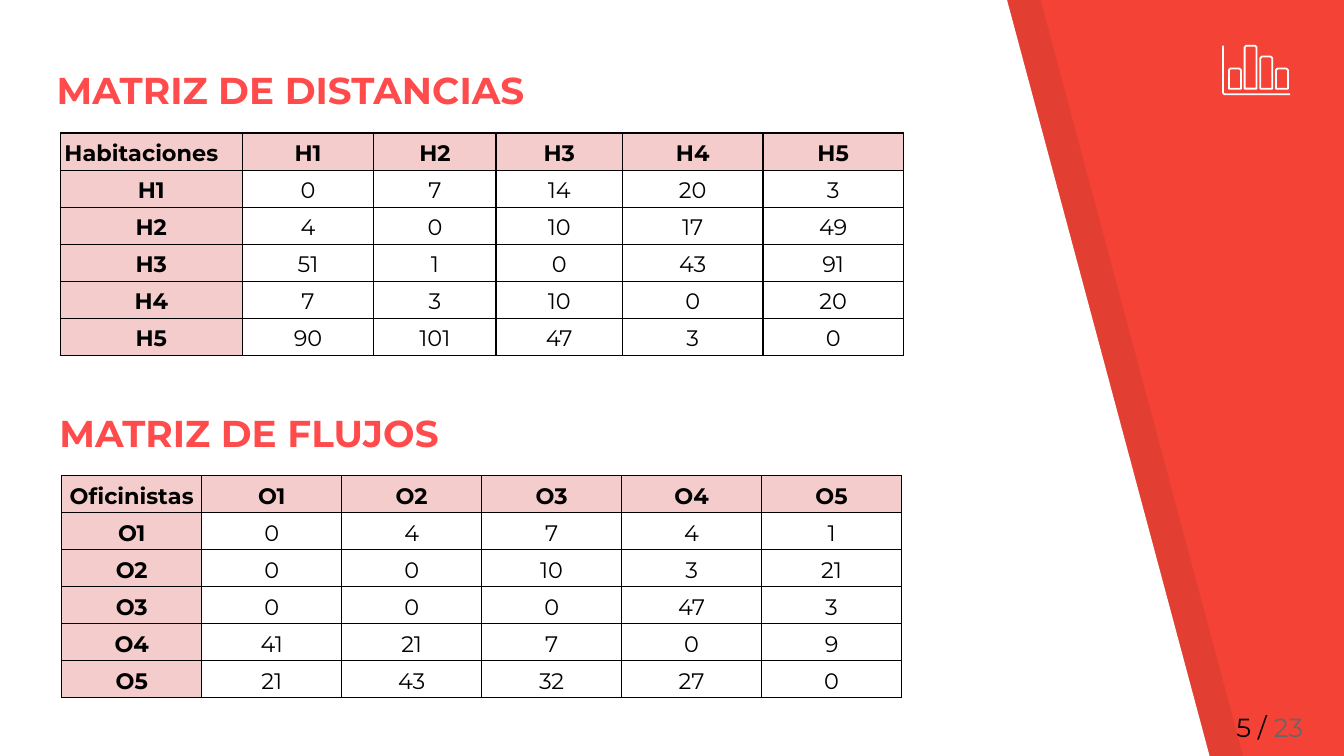
from lxml import etree
from pptx import Presentation, util as u
from pptx.dml.color import RGBColor
from pptx.enum import text
from pptx.oxml.ns import qn

RED = RGBColor(0xF4, 0x43, 0x36)
CORAL = RGBColor(0xFF, 0x4B, 0x4B)
PINK = RGBColor(0xF4, 0xCC, 0xCC)
WHITE = RGBColor(0xFF, 0xFF, 0xFF)
BLACK = RGBColor(0, 0, 0)
GREY = RGBColor(0x66, 0x66, 0x66)

DISTANCES = [
    ["Habitaciones", "H1", "H2", "H3", "H4", "H5"],
    ["H1", 0, 7, 14, 20, 3],
    ["H2", 4, 0, 10, 17, 49],
    ["H3", 51, 1, 0, 43, 91],
    ["H4", 7, 3, 10, 0, 20],
    ["H5", 90, 101, 47, 3, 0],
]
FLOWS = [
    ["Oficinistas", "O1", "O2", "O3", "O4", "O5"],
    ["O1", 0, 4, 7, 4, 1],
    ["O2", 0, 0, 10, 3, 21],
    ["O3", 0, 0, 0, 47, 3],
    ["O4", 41, 21, 7, 0, 9],
    ["O5", 21, 43, 32, 27, 0],
]


def assign(target, values):
    for name, value in values.items():
        setattr(target, name, value)


class MatrixSlide:
    font_name = "Montserrat"
    row_height = 19.85
    border = 0.75
    frame_format = dict.fromkeys(
        ("margin_left", "margin_top", "margin_right", "margin_bottom"), u.Pt(7.2))
    cell_format = {
        "margin_left": u.Pt(2.25), "margin_right": u.Pt(2.25),
        "margin_top": u.Pt(1.5), "margin_bottom": u.Pt(1.5),
        "vertical_anchor": text.MSO_ANCHOR.BOTTOM,
    }

    def __init__(self, slide):
        self.slide = slide
        slide.background.fill.solid()
        slide.background.fill.fore_color.rgb = RED

    def run(self, paragraph, wording, size, color, bold=False):
        run = paragraph.add_run()
        run.text = wording
        assign(run.font, {"name": self.font_name, "size": u.Pt(size), "bold": bold})
        run.font.color.rgb = color

    def frame(self, box, place, anchor):
        """Place a text shape and return its first paragraph."""
        assign(box, dict(zip(("left", "top", "width", "height"), map(u.Pt, place))))
        assign(box.text_frame, {
            **self.frame_format, "word_wrap": True, "vertical_anchor": anchor,
            "auto_size": text.MSO_AUTO_SIZE.NONE,
        })
        paragraph = box.text_frame.paragraphs[0]
        paragraph.alignment = text.PP_ALIGN.LEFT
        return paragraph

    def text_box(self):
        return self.slide.shapes.add_textbox(0, 0, 0, 0)

    def heading(self, box, wording, place):
        self.slide.shapes.element.append(box.element)  # in front of the panels
        paragraph = self.frame(box, place, text.MSO_ANCHOR.TOP)
        self.run(paragraph, wording, 20, CORAL, bold=True)

    def page_number(self, current, total, place):
        paragraph = self.frame(self.text_box(), place, text.MSO_ANCHOR.MIDDLE)
        self.run(paragraph, f"{current} / ", 14, BLACK)
        self.run(paragraph, str(total), 14, GREY)

    def outline(self, owner, points, fill=None, opacity=100, line=None, closed=True):
        start, *others = [(u.Pt(x), u.Pt(y)) for x, y in points]
        builder = owner.build_freeform(*start)
        builder.add_line_segments(others, close=closed)
        shape = builder.convert_to_shape()
        shape.shadow.inherit = False
        if fill is None:
            shape.fill.background()
        else:
            shape.fill.solid()
            shape.fill.fore_color.rgb = fill
        if opacity < 100:
            color = shape.element.spPr.find(".//" + qn("a:srgbClr"))
            etree.SubElement(color, qn("a:alpha"), val=str(opacity * 1000))
        if line is None:
            shape.line.fill.background()
        else:
            shape.line.color.rgb = line
            shape.line.width = u.Pt(0.96)

    def panel(self, offset, fill, opacity=100):
        corners = [(0, 0), (0, 405), (648, 405), (539.5, 0)]
        self.outline(self.slide.shapes, [(x + offset, y) for x, y in corners],
                     fill, opacity)

    def chart_icon(self, left, top):
        icon = self.slide.shapes.add_group_shape().shapes
        self.outline(icon, [(left, top), (left, top + 25.2), (left + 0.7, top + 26),
                            (left + 36, top + 26)], line=WHITE, closed=False)
        base, width, corner = top + 23, 6.4, 0.8
        for column, height in enumerate((10.8, 23, 17.2, 10.8)):
            x = left + 3.2 + 8.4 * column
            y = base - height
            self.outline(icon, [
                (x + width, base), (x + width, y + corner), (x + width - corner, y),
                (x + corner, y), (x, y + corner), (x, base)], line=WHITE)

    def cell_borders(self, cell):
        properties = cell._tc.get_or_add_tcPr()
        for side in ("lnL", "lnR", "lnT", "lnB"):
            edge = etree.SubElement(properties, qn(f"a:{side}"),
                                    w=str(u.Pt(self.border)))
            fill = etree.SubElement(edge, qn("a:solidFill"))
            etree.SubElement(fill, qn("a:srgbClr"), val=str(BLACK))

    def matrix(self, rows, left, top, widths, value_fill=None,
               corner_align=text.PP_ALIGN.CENTER):
        table = self.slide.shapes.add_table(
            len(rows), len(widths), u.Pt(left), u.Pt(top), u.Pt(sum(widths)),
            u.Pt(self.row_height * len(rows))).table
        assign(table, {"first_row": False, "horz_banding": False})
        for column, width in zip(table.columns, widths):
            column.width = u.Pt(width)
        for r, values in enumerate(rows):
            table.rows[r].height = u.Pt(self.row_height)
            for c, value in enumerate(values):
                cell = table.cell(r, c)
                label = r == 0 or c == 0
                assign(cell, self.cell_format)
                self.cell_borders(cell)
                fill = PINK if label else value_fill
                if fill is None:
                    cell.fill.background()
                else:
                    cell.fill.solid()
                    cell.fill.fore_color.rgb = fill
                paragraph = cell.text_frame.paragraphs[0]
                assign(paragraph, {
                    "alignment": text.PP_ALIGN.CENTER if r or c else corner_align,
                    "line_spacing": 1.15,
                })
                self.run(paragraph, str(value), 12, BLACK, bold=label)


def main():
    deck = Presentation()
    assign(deck, {"slide_width": u.Pt(720), "slide_height": u.Pt(405)})
    page = MatrixSlide(deck.slides.add_slide(deck.slide_layouts[5]))
    page.panel(18, BLACK, opacity=7)
    page.panel(0, WHITE)
    page.page_number(5, 23, (655.2, 373.8, 62, 31))
    page.chart_icon(655.2, 24.5)
    page.heading(page.slide.shapes.title, "MATRIZ DE DISTANCIAS", (23.2, 29, 297.4, 25))
    page.matrix(DISTANCES, 32.3, 71.3, (97.5, 70.5, 65.5, 67.75, 75.25, 75.25),
                value_fill=WHITE, corner_align=text.PP_ALIGN.LEFT)
    page.matrix(FLOWS, 33.1, 254.8, [75] * 6)
    page.heading(page.text_box(), "MATRIZ DE FLUJOS", (24.7, 212.4, 252.7, 25))
    deck.save("out.pptx")


if __name__ == "__main__":
    main()
